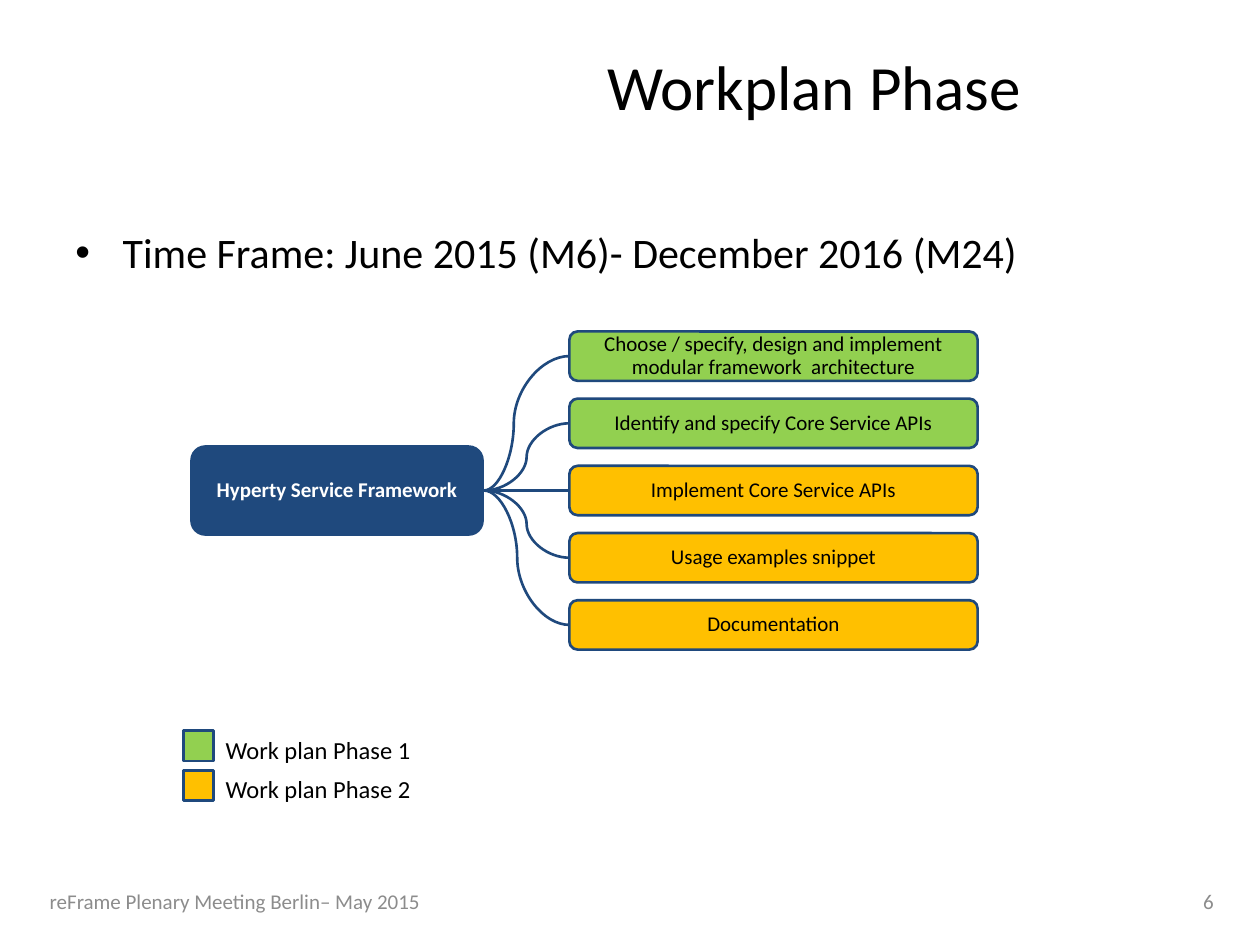
from lxml.etree import SubElement
from pptx import Presentation
from pptx.dml.color import RGBColor
from pptx.enum.shapes import MSO_CONNECTOR, MSO_SHAPE
from pptx.enum.text import MSO_ANCHOR, PP_ALIGN
from pptx.oxml.ns import qn
from pptx.util import Pt

NAVY = RGBColor(0x1F, 0x49, 0x7D)
GREEN = RGBColor(0x92, 0xD0, 0x50)
AMBER = RGBColor(0xFF, 0xC0, 0x00)
BLACK = RGBColor(0, 0, 0)
WHITE = RGBColor(0xFF, 0xFF, 0xFF)
GREY = RGBColor(0x8C, 0x8C, 0x8C)

TASKS = [
    ("Choose / specify, design and implement modular framework  architecture", GREEN, 0.35),
    ("Identify and specify Core Service APIs", GREEN, 0.5),
    ("Implement Core Service APIs", AMBER, None),
    ("Usage examples snippet", AMBER, 0.5),
    ("Documentation", AMBER, 0.39),
]
PHASES = [("Work plan Phase 1", GREEN), ("Work plan Phase 2", AMBER)]


def write(frame, text, size, color=BLACK, align=PP_ALIGN.LEFT, anchor=MSO_ANCHOR.MIDDLE):
    frame.word_wrap = True
    frame.vertical_anchor = anchor
    para = frame.paragraphs[0]
    para.text = text
    para.alignment = align
    para.font.name = "Calibri"
    para.font.size = Pt(size)
    para.font.color.rgb = color
    return para


def add_text(slide, box, text, size, **style):
    shape = slide.shapes.add_textbox(*map(Pt, box))
    return write(shape.text_frame, text, size, **style)


def add_box(slide, kind, box, fill):
    shape = slide.shapes.add_shape(kind, *map(Pt, box))
    shape.shadow.inherit = False
    shape.fill.solid()
    shape.fill.fore_color.rgb = fill
    shape.line.color.rgb = NAVY
    shape.line.width = Pt(1.5)
    return shape


def add_node(slide, box, fill, text, color=BLACK, pad=0):
    shape = add_box(slide, MSO_SHAPE.ROUNDED_RECTANGLE, box, fill)
    frame = shape.text_frame
    frame.margin_left = frame.margin_right = Pt(pad)
    frame.margin_top = frame.margin_bottom = Pt(pad)
    para = write(frame, text, 12, color, PP_ALIGN.CENTER)
    para.line_spacing = 0.9
    return shape, para


def add_link(slide, start, end, bend):
    kind = MSO_CONNECTOR.CURVE if bend else MSO_CONNECTOR.STRAIGHT
    link = slide.shapes.add_connector(kind, *map(Pt, start + end))
    link.line.color.rgb = NAVY
    link.line.width = Pt(1.5)
    props = link._element.spPr
    SubElement(props, qn("a:effectLst"))
    if bend:
        guides = props.find(qn("a:prstGeom")).get_or_add_avLst()
        SubElement(guides, qn("a:gd"), name="adj1", fmla=f"val {round(bend * 100000)}")


def add_bullet(slide, box, text):
    para = add_text(slide, box, text, 24, anchor=MSO_ANCHOR.TOP)
    para.space_before = Pt(4.8)
    props = para._p.get_or_add_pPr()
    props.set("marL", str(Pt(27)))
    props.set("indent", str(-Pt(27)))
    SubElement(props, qn("a:buFont"), typeface="Arial")
    SubElement(props, qn("a:buChar"), char="•")


def add_tree(slide, box):
    left, top, width, height = box
    hub_w, hub_h, task_w, task_h = 167.8, 51.8, 233.3, 28.2
    pitch = (height - task_h) / (len(TASKS) - 1)
    mid = top + height / 2
    task_x = left + width - task_w
    for row, (text, fill, bend) in enumerate(TASKS):
        y = top + row * pitch
        add_node(slide, (task_x, y, task_w, task_h), fill, text)
        add_link(slide, (left + hub_w, mid), (task_x, y + task_h / 2), bend)
    hub, para = add_node(slide, (left, mid - hub_h / 2, hub_w, hub_h), NAVY,
                         "Hyperty Service Framework", WHITE, 4.5)
    hub.line.fill.background()
    para.font.bold = True


def add_legend(slide, box):
    left, top, width, height = box
    pitch = height / len(PHASES)
    for row, (text, fill) in enumerate(PHASES):
        y = top + row * pitch
        add_box(slide, MSO_SHAPE.RECTANGLE, (left, y + 1.4, 17.2, 17.2), fill)
        add_text(slide, (left + 16.8, y, width - 16.8, 24.2), text, 14, anchor=MSO_ANCHOR.TOP)


def add_footer(slide, box):
    left, top, width, height = box
    add_text(slide, (left, top, 228.2, height), "reFrame Plenary Meeting Berlin– May 2015",
             12, color=GREY, align=PP_ALIGN.CENTER)
    add_text(slide, (left + width - 57.6, top, 57.6, height), "6",
             12, color=GREY, align=PP_ALIGN.RIGHT)


def main():
    deck = Presentation()
    deck.slide_width, deck.slide_height = Pt(720), Pt(540)
    slide = deck.slides.add_slide(deck.slide_layouts[6])
    add_text(slide, (218.2, 3.6, 494, 90), "Workplan Phase", 36, align=PP_ALIGN.CENTER)
    add_bullet(slide, (36, 126, 648, 356.4), "Time Frame: June 2015 (M6)- December 2016 (M24)")
    add_tree(slide, (108.7, 189.4, 450, 181.8))
    add_legend(slide, (105, 416.2, 138, 45))
    add_footer(slide, (20.2, 500.4, 680.4, 28.8))
    deck.save("out.pptx")


if __name__ == "__main__":
    main()
